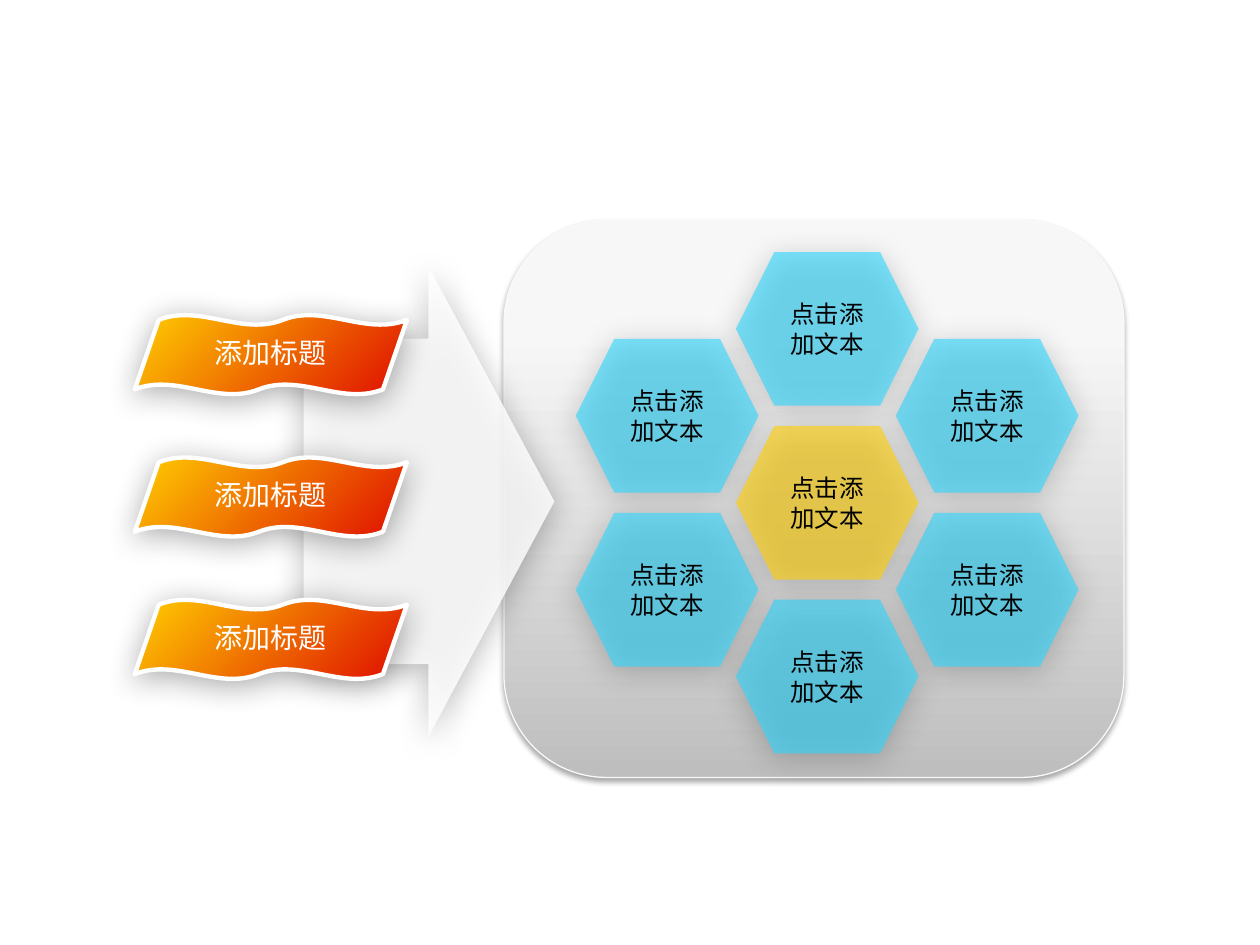
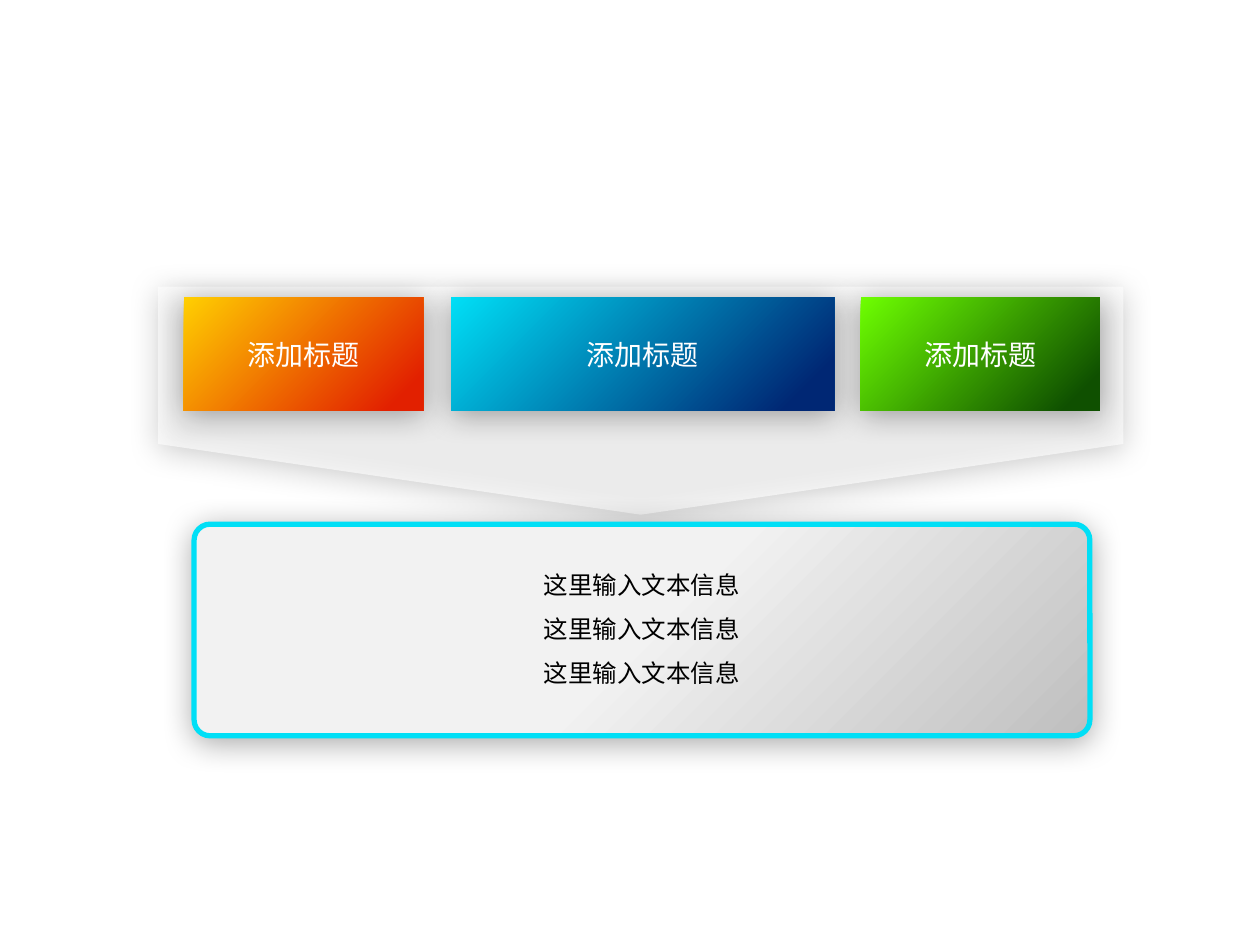
from dataclasses import dataclass
from typing import Optional

from lxml.etree import SubElement
from pptx import Presentation
from pptx.dml.color import RGBColor
from pptx.enum.shapes import MSO_SHAPE as Preset
from pptx.enum.text import MSO_ANCHOR as Anchor, PP_ALIGN as Align
from pptx.oxml.ns import qn
from pptx.util import Inches, Pt

FONT = "Noto Sans CJK SC"
WHITE, BLACK = "FFFFFF", "000000"
YELLOW, SKY, CYAN = "FFCF01", "2DD7FF", "00DFF6"
TITLE_TEXT, HEXAGON_TEXT, INFO_TEXT = "添加标题", "点击添加文本", "这里输入文本信息"


@dataclass(frozen=True)
class Box:
    left: float
    top: float
    width: float
    height: float

    def inches(self) -> tuple:
        return tuple(Inches(v) for v in (self.left, self.top, self.width, self.height))

    def centred(self, width: float, height: float, rise: float = 0) -> "Box":
        return Box(self.left + (self.width - width) / 2,
                   self.top + (self.height - height) / 2 - rise, width, height)


@dataclass(frozen=True)
class Shadow:
    opacity: int = 33
    blur: float = 17.8
    distance: float = 3
    angle: int = 87


@dataclass(frozen=True)
class Gradient:
    stops: tuple
    angle: int = 45


@dataclass(frozen=True)
class Style:
    gradient: Optional[Gradient] = None
    color: str = WHITE
    opacity: int = 100
    line_color: Optional[str] = None
    line_width: float = 0
    shadow: Shadow = Shadow()


@dataclass(frozen=True)
class Banner:
    left: float
    width: float
    gradient: Gradient


def diagonal(start: str, end: str) -> Gradient:
    return Gradient(((0, start), (90, end)))


FIRE = diagonal(YELLOW, "E22000")
OCEAN = diagonal(CYAN, "002774")
LEAF = diagonal("6EFF01", "0F5000")
SILVER = Gradient(((50, "F2F2F2"), (100, "BFBFBF")))
STEEL = Gradient(((0, "BEBEBE"), (80, "F7F7F7"), (100, "F8F8F8")), 270)

TITLE_FORMAT = {"size": Pt(16), "name": FONT}
BODY_FORMAT = {"size": Pt(14), "name": FONT}


def rgb(color: str) -> RGBColor:
    return RGBColor.from_string(color)


def thousandths(percent: float) -> str:
    return str(round(percent * 1000))


def add_color(parent, color: str, opacity: int = 100) -> None:
    element = SubElement(parent, qn("a:srgbClr"), val=color)
    if opacity < 100:
        SubElement(element, qn("a:alpha"), val=thousandths(opacity))


def fill_gradient(shape, gradient: Gradient) -> None:
    shape.fill.gradient()
    shape.fill.gradient_angle = (360 - gradient.angle) % 360
    stop_list = shape._element.spPr.find(f".//{qn('a:gsLst')}")
    for stop in list(stop_list):
        stop_list.remove(stop)
    for position, color in gradient.stops:
        add_color(SubElement(stop_list, qn("a:gs"), pos=thousandths(position)), color)


def fill_solid(shape, color: str, opacity: int) -> None:
    shape.fill.solid()
    shape.fill.fore_color.rgb = rgb(color)
    if opacity < 100:
        element = shape._element.spPr.find(f"{qn('a:solidFill')}/{qn('a:srgbClr')}")
        SubElement(element, qn("a:alpha"), val=thousandths(opacity))


def cast_shadow(shape, shadow: Shadow) -> None:
    shape.shadow.inherit = False
    effects = shape._element.spPr.find(qn("a:effectLst"))
    outer = SubElement(effects, qn("a:outerShdw"), blurRad=str(Pt(shadow.blur)),
                       dist=str(Pt(shadow.distance)), dir=str(shadow.angle * 60000),
                       algn="ctr", rotWithShape="0")
    add_color(outer, BLACK, shadow.opacity)


def add_styled_shape(slide, preset: Preset, box: Box, style: Style, adjustments: tuple = ()):
    shape = slide.shapes.add_shape(preset, *box.inches())
    for index, value in enumerate(adjustments):
        shape.adjustments[index] = value
    if style.gradient:
        fill_gradient(shape, style.gradient)
    else:
        fill_solid(shape, style.color, style.opacity)
    if style.line_color:
        shape.line.color.rgb = rgb(style.line_color)
        shape.line.width = Pt(style.line_width)
    else:
        shape.line.fill.background()
    cast_shadow(shape, style.shadow)
    return shape


def write_text(shape, lines: list, formats: dict, color: str,
               anchor: Anchor = Anchor.MIDDLE, spacing: float = 1) -> None:
    frame = shape.text_frame
    frame.word_wrap = True
    frame.vertical_anchor = anchor
    frame.text = "\n".join(lines)
    for paragraph in frame.paragraphs:
        paragraph.alignment = Align.CENTER
        paragraph.line_spacing = spacing
        for run in paragraph.runs:
            for name, value in formats.items():
                setattr(run.font, name, value)
            run.font.color.rgb = rgb(color)
            SubElement(run._r.get_or_add_rPr(), qn("a:ea"), typeface=FONT)


def add_text(slide, box: Box, lines: list, formats: dict, color: str, **layout) -> None:
    write_text(slide.shapes.add_textbox(*box.inches()), lines, formats, color, **layout)


def build_hexagon_slide(slide) -> None:
    panel = Style(STEEL, line_color="F9F9F9", line_width=0.75, shadow=Shadow(35, 3.1, 1.8, 90))
    add_styled_shape(slide, Preset.ROUNDED_RECTANGLE, Box(4, 1.75, 4.92, 4.42), panel, (0.184,))
    add_styled_shape(slide, Preset.RIGHT_ARROW, Box(2.41, 2.11, 1.99, 3.74),
                     Style(opacity=82), (0.691, 0.503))

    column_step, row_step = 1.27, 0.69
    ring = [(1, -1), (1, 1), (0, -2), (0, 2), (-1, -1), (-1, 1)]
    for column, row in [*ring, (0, 0)]:
        box = Box(5.84 + column * column_step, 3.38 + row * row_step, 1.45, 1.22)
        color = SKY if (column, row) in ring else YELLOW
        add_styled_shape(slide, Preset.HEXAGON, box, Style(color=color, opacity=60))
        add_text(slide, box.centred(0.9, 0.59), [HEXAGON_TEXT], BODY_FORMAT, BLACK)

    flag = Style(FIRE, line_color=WHITE, line_width=2.5)
    for index in range(3):
        box = Box(1.07, 2.5 + index * 1.13, 2.16, 0.63)
        add_styled_shape(slide, Preset.DOUBLE_WAVE, box, flag, (0.062, -0.044))
        add_text(slide, box.centred(2.03, 0.37, rise=0.02), [TITLE_TEXT], TITLE_FORMAT, WHITE)


def build_banner_slide(slide) -> None:
    pointer = add_styled_shape(slide, Preset.PENTAGON, Box(4.18, -0.65, 1.81, 7.66),
                               Style(opacity=60), (0.31,))
    pointer.rotation = 90

    banners = [Banner(1.46, 1.9, FIRE), Banner(3.58, 3.04, OCEAN), Banner(6.83, 1.9, LEAF)]
    for banner in banners:
        shape = add_styled_shape(slide, Preset.RECTANGLE,
                                 Box(banner.left, 2.36, banner.width, 0.9), Style(banner.gradient))
        write_text(shape, [TITLE_TEXT], TITLE_FORMAT, WHITE)

    add_styled_shape(slide, Preset.ROUNDED_RECTANGLE, Box(1.54, 4.16, 7.11, 1.68),
                     Style(SILVER, line_color=CYAN, line_width=3), (0.076,))
    add_text(slide, Box(2.7, 4.36, 4.79, 1.06), [INFO_TEXT] * 3, BODY_FORMAT, BLACK,
             anchor=Anchor.TOP, spacing=1.5)


def main() -> None:
    presentation = Presentation()
    presentation.slide_width, presentation.slide_height = Inches(10), Inches(7.5)
    blank_layout = presentation.slide_layouts[6]
    for build in (build_hexagon_slide, build_banner_slide):
        build(presentation.slides.add_slide(blank_layout))
    presentation.save("out.pptx")


if __name__ == "__main__":
    main()
